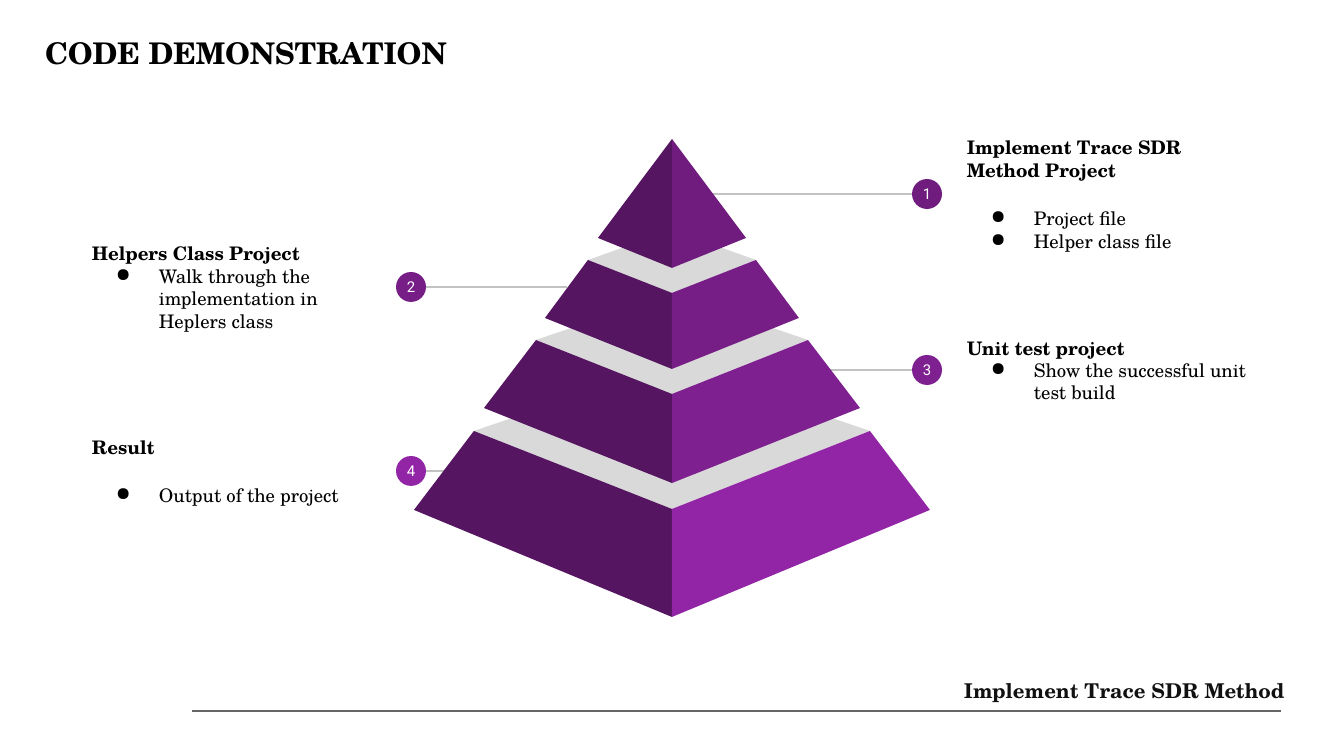
"""Builds the code demonstration slide with a four-tier pyramid."""
from lxml.etree import SubElement
from pptx import Presentation
from pptx.dml.color import RGBColor
from pptx.enum.shapes import MSO_CONNECTOR, MSO_SHAPE
from pptx.enum.text import MSO_ANCHOR, MSO_AUTO_SIZE, PP_ALIGN
from pptx.oxml.ns import qn
from pptx.util import Pt

TITLE = "CODE DEMONSTRATION"
FOOT = "Implement Trace SDR Method"
ITEMS = [
    {"head": "Implement Trace SDR Method Project", "list": ["Project file", "Helper class file"],
     "side": "right", "mid": 194, "end": 711, "gap": 14},
    {"head": "Helpers Class Project", "list": ["Walk through the implementation in Heplers class"],
     "side": "left", "mid": 287, "end": 567, "gap": 0},
    {"head": "Unit test project", "list": ["Show the successful unit test build"],
     "side": "right", "mid": 370, "end": 827, "gap": 0},
    {"head": "Result", "list": ["Output of the project"],
     "side": "left", "mid": 471, "end": 567, "gap": 14},
]
TIERS = [
    {"back": None, "top": (0, 139, 139), "base": (74, 238, 268)},
    {"back": 230, "top": (84, 260, 293), "base": (127, 318, 369)},
    {"back": 294, "top": (136, 340, 394), "base": (188, 408, 483)},
    {"back": 364, "top": (198, 431, 509), "base": (258, 510, 617)},
]
SIDES = {"left": {"text": 79, "badge": 411}, "right": {"text": 954, "badge": 927}}
TINTS = ["701C7F", "761E86", "7F2090", "9225A5"]
COLORS = {"black": "000000", "white": "FFFFFF", "foot": "111111", "dark": "551561",
          "lid": "D9D9D9", "link": "C2C2C2", "rule": "666666"}
SERIF = "TeX Gyre Schola"
FONTS = {
    "title": {"name": SERIF, "size": Pt(16), "bold": True},
    "head": {"name": SERIF, "size": Pt(10), "bold": True},
    "item": {"name": SERIF, "size": Pt(10), "bold": False},
    "foot": {"name": SERIF, "size": Pt(10.9), "bold": True},
    "badge": {"name": "Roboto", "size": Pt(8), "bold": False},
}
SCALE = 914400 / 134.4
WIDE, HIGH = 1344, 756
AXIS, PAD = 672, 13
BOX_W, BOX_H, DOT = 305, 155, 30


def px(num):
    return round(num * SCALE)


def rgb(hue):
    return RGBColor.from_string(hue)


def apply(obj, form):
    for key, val in form.items():
        setattr(obj, key, val)


def frame(shape, anchor, pads):
    names = ("margin_left", "margin_top", "margin_right", "margin_bottom")
    form = {key: px(pad) for key, pad in zip(names, pads)}
    apply(shape.text_frame, form | {"word_wrap": True, "vertical_anchor": anchor,
                                    "auto_size": MSO_AUTO_SIZE.NONE})
    return shape.text_frame


def write(para, text, style, hue, align=PP_ALIGN.LEFT):
    para.alignment = align
    run = para.add_run()
    run.text = text
    apply(run.font, FONTS[style])
    run.font.color.rgb = rgb(hue)


def bullet(para):
    props = para._p.get_or_add_pPr()
    props.set("marL", str(px(67)))
    props.set("indent", str(px(-43)))
    tint = SubElement(props, qn("a:buClr"))
    SubElement(tint, qn("a:srgbClr")).set("val", COLORS["black"])
    SubElement(props, qn("a:buChar")).set("char", "●")


def paint(shape, hue):
    shape.shadow.inherit = False
    shape.fill.solid()
    shape.fill.fore_color.rgb = rgb(hue)
    shape.line.fill.background()


def link(shapes, left, right, mid, hue):
    line = shapes.add_connector(MSO_CONNECTOR.STRAIGHT, px(left), px(mid), px(right), px(mid))
    line.line.color.rgb = rgb(hue)
    line.line.width = Pt(0.75)
    SubElement(line._element.spPr, qn("a:effectLst"))


def facet(shapes, points, hue):
    pen = shapes.build_freeform(*points[0], scale=SCALE)
    pen.add_line_segments(points[1:], close=True)
    paint(pen.convert_to_shape(), hue)


def label(shapes, num, item, tint):
    side, mid = SIDES[item["side"]], item["mid"]
    box = shapes.add_textbox(px(side["text"]), px(mid - BOX_H / 2), px(BOX_W), px(BOX_H))
    body = frame(box, MSO_ANCHOR.MIDDLE, [PAD] * 4)
    head = body.paragraphs[0]
    write(head, item["head"], "head", COLORS["black"])
    head.space_after = Pt(item["gap"])
    for text in item["list"]:
        para = body.add_paragraph()
        write(para, text, "item", COLORS["black"])
        bullet(para)
    link(shapes, item["end"], side["badge"], mid, COLORS["link"])
    dot = shapes.add_shape(MSO_SHAPE.OVAL, px(side["badge"] - DOT / 2), px(mid - DOT / 2),
                           px(DOT), px(DOT))
    paint(dot, tint)
    body = frame(dot, MSO_ANCHOR.MIDDLE, [0] * 4)
    write(body.paragraphs[0], str(num), "badge", COLORS["white"], PP_ALIGN.CENTER)


def pyramid(shapes):
    for tier in TIERS:
        if tier["back"]:
            half, edge, front = tier["top"]
            facet(shapes, [(AXIS - half, edge), (AXIS, front), (AXIS + half, edge),
                           (AXIS, tier["back"])], COLORS["lid"])
    for tier, tint in zip(TIERS, TINTS):
        (half, edge, front), (wide, low, tip) = tier["top"], tier["base"]
        for sign, hue in ((-1, COLORS["dark"]), (1, tint)):
            points = [(AXIS + sign * half, edge), (AXIS, front), (AXIS, tip),
                      (AXIS + sign * wide, low)]
            facet(shapes, list(dict.fromkeys(points)), hue)


def main():
    deck = Presentation()
    apply(deck, {"slide_width": px(WIDE), "slide_height": px(HIGH)})
    shapes = deck.slides.add_slide(deck.slide_layouts[5]).shapes
    title = shapes.title
    apply(title, {"left": px(32), "top": px(22), "width": px(640), "height": px(99)})
    body = frame(title, MSO_ANCHOR.TOP, [PAD] * 4)
    write(body.paragraphs[0], TITLE, "title", COLORS["black"])
    for num, (item, tint) in enumerate(zip(ITEMS, TINTS), 1):
        label(shapes, num, item, tint)
    pyramid(shapes)
    link(shapes, 192, 1281, 711, COLORS["rule"])
    foot = shapes.add_textbox(px(884), px(638), px(434), px(122))
    body = frame(foot, MSO_ANCHOR.MIDDLE, (80, PAD, PAD, 31))
    write(body.paragraphs[0], FOOT, "foot", COLORS["foot"])
    deck.save("out.pptx")


if __name__ == "__main__":
    main()
